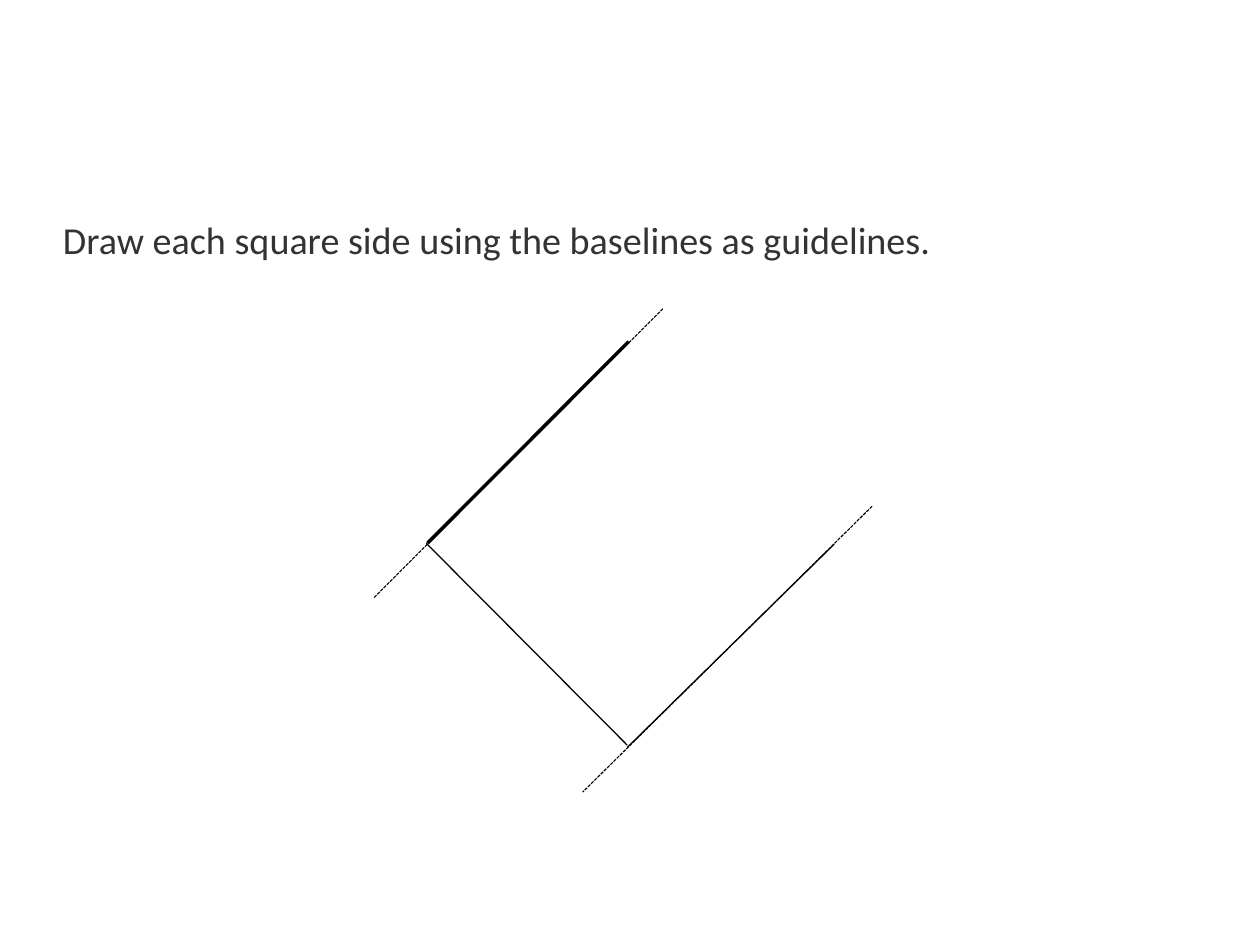
from pptx import Presentation
from pptx.dml.color import RGBColor
from pptx.enum.dml import MSO_LINE
from pptx.enum.shapes import MSO_CONNECTOR
from pptx.enum.text import MSO_ANCHOR, MSO_AUTO_SIZE
from pptx.oxml.ns import qn
from pptx.util import Cm, Pt
from lxml import etree

BLACK = RGBColor(0x00, 0x00, 0x00)
DARK_GREY = RGBColor(0x33, 0x33, 0x33)

deck = Presentation()
deck.slide_width, deck.slide_height = Cm(28), Cm(21)
page = deck.slides.add_slide(deck.slide_layouts[1])
title, body = page.placeholders
title.element.getparent().remove(title.element)

# Start and end in centimetres, width in points, dash style
SIDE, BOLD_SIDE, BASELINE = 0.79, 2.15, 0.71
lines = [
    ((13.94, 16.56), (9.47, 12.07), SIDE, MSO_LINE.SOLID),
    ((18.54, 12.09), (13.94, 16.61), SIDE, MSO_LINE.SOLID),
    ((13.97, 7.59), (9.5, 12.07), BOLD_SIDE, MSO_LINE.SOLID),
    ((14.73, 6.86), (8.31, 13.28), BASELINE, MSO_LINE.SQUARE_DOT),
    ((19.38, 11.25), (12.95, 17.6), BASELINE, MSO_LINE.SQUARE_DOT),
]
for start, end, width, dash in lines:
    points = [Cm(value) for value in start + end]
    connector = page.shapes.add_connector(MSO_CONNECTOR.STRAIGHT, *points)
    connector.line.color.rgb = BLACK
    connector.line.width = Pt(width)
    connector.line.dash_style = dash
    etree.SubElement(connector.element.spPr, qn("a:effectLst"))

body.left, body.top, body.width, body.height = Cm(1.4), Cm(4.93), Cm(25.2), Cm(13.87)
frame = body.text_frame
frame_format = {
    "margin_left": 0, "margin_top": 0, "margin_right": 0, "margin_bottom": 0,
    "word_wrap": True, "auto_size": MSO_AUTO_SIZE.NONE,
    "vertical_anchor": MSO_ANCHOR.TOP,
}
for name, value in frame_format.items():
    setattr(frame, name, value)

para = frame.paragraphs[0]
para.text = "Draw each square side using the baselines as guidelines."
properties = para._p.get_or_add_pPr()
properties.set("marL", "0")
properties.set("indent", "0")
etree.SubElement(properties, qn("a:buNone"))
para_format = {"line_spacing": 0.9, "space_before": Pt(0), "space_after": Pt(14.1)}
for name, value in para_format.items():
    setattr(para, name, value)

font = para.runs[0].font
font.name, font.size = "Calibri", Pt(24)
font.color.rgb = DARK_GREY

deck.save("out.pptx")
